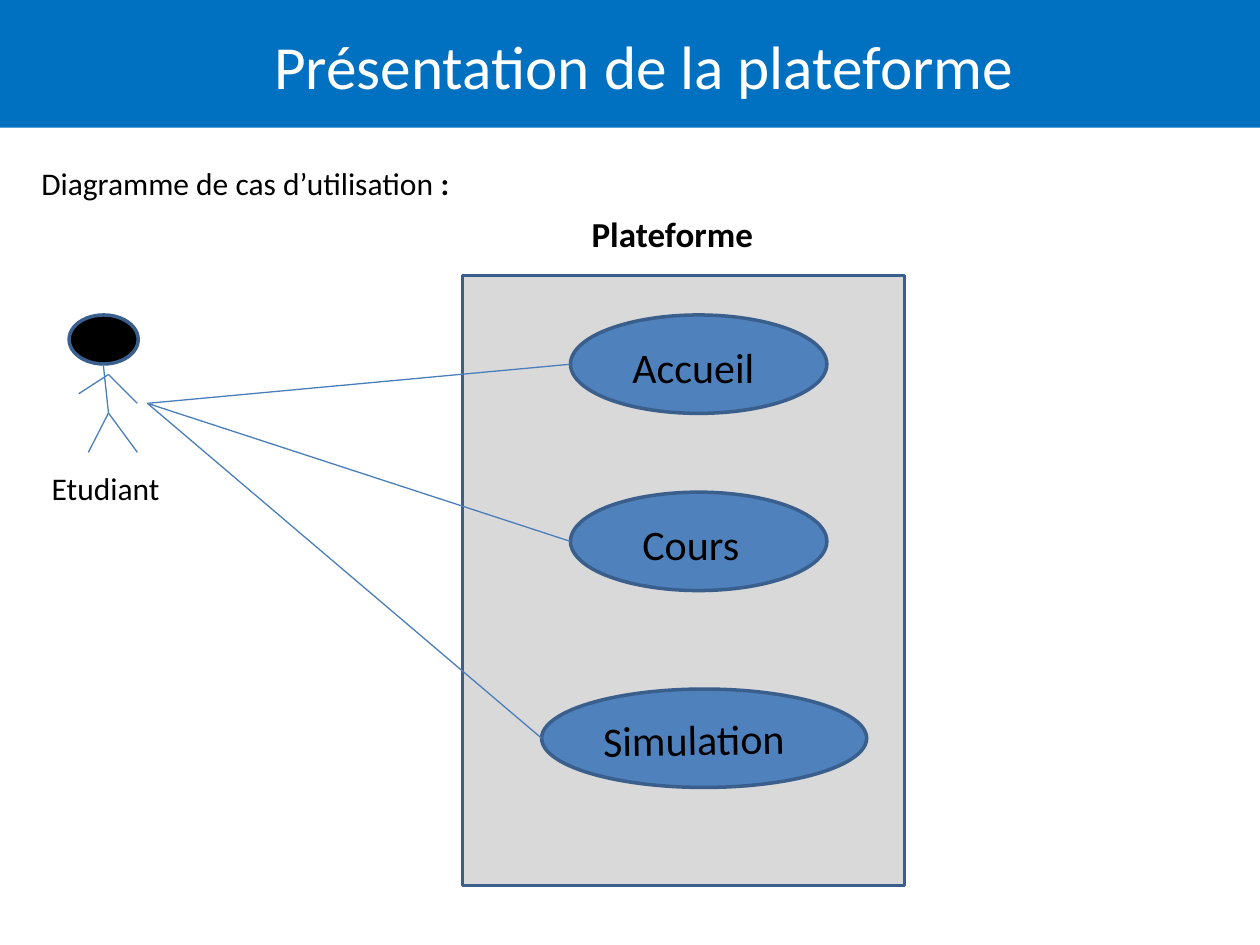
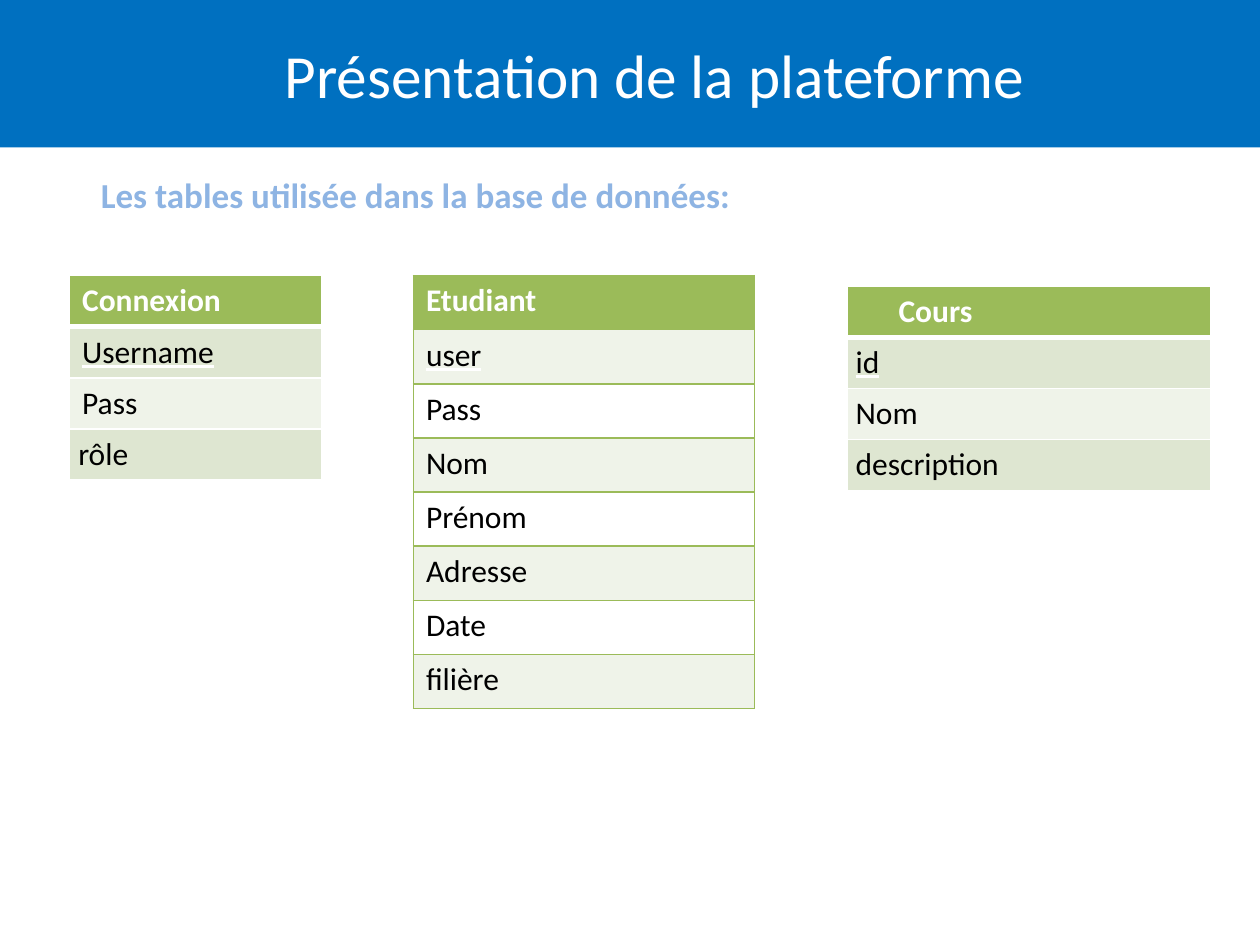
from dataclasses import dataclass
from typing import NamedTuple

from lxml import etree
from pptx import Presentation
from pptx import util as u
from pptx.dml.color import RGBColor
from pptx.enum import shapes, text
from pptx.oxml.ns import qn


@dataclass(frozen=True)
class Theme:
    font: str = "Calibri"
    band: str = "0070C0"
    white: str = "FFFFFF"
    black: str = "000000"
    frame: str = "D9D9D9"
    oval: str = "4F81BD"
    outline: str = "3A5F8C"
    link: str = "4A7EBB"
    subtitle: str = "8EB4E3"
    green: str = "9BBB59"
    pale_green: str = "EFF3E9"
    soft_green: str = "DEE6D1"
    title_size: float = 35
    case_size: float = 24
    heading_size: float = 20
    body_size: float = 18
    outline_width: float = 2
    link_width: float = 0.75
    border_width: float = 0.96
    header_rule: float = 3


class Box(NamedTuple):
    left: float
    top: float
    width: float
    height: float

    def lengths(self) -> list:
        return [u.Pt(value) for value in self]


class Point(NamedTuple):
    x: float
    y: float


class UseCase(NamedTuple):
    name: str
    oval: Box
    label: Box
    rotation: float = 0


class TableSpec(NamedTuple):
    name: str
    fields: list[str]
    left: float
    top: float
    width: float
    row_height: float
    bands: tuple[str, str]
    border: str
    header_rule: float
    insets: list[float]


THEME = Theme()
TITLE = "Présentation de la plateforme"

FRAME = Box(264.25, 157.5, 252.75, 348.5)
HEAD = Box(39.5, 180, 39.5, 28)
NECK, SHOULDER, HIP = Point(59, 208), Point(62, 214), Point(62, 236)
HANDS = [Point(78.5, 230.5), Point(45, 225)]
FEET = [Point(50.5, 258.5), Point(78.5, 258.5)]
LINK_START = Point(84.25, 230.5)

USE_CASES = [
    UseCase("Accueil", Box(326, 180, 146.5, 56.25), Box(354.25, 191.5, 106.5, 36)),
    UseCase("Cours", Box(326, 281.25, 146.5, 56.25), Box(360, 292.5, 84.25, 36)),
    UseCase("Simulation", Box(309.5, 393.75, 185.75, 56.25),
            Box(337.75, 404, 152, 65), 359.1),
]

TABLES = [
    TableSpec("Etudiant",
              ["user", "Pass", "Nom", "Prénom", "Adresse", "Date", "filière"],
              236.25, 157.5, 195, 30.95, (THEME.pale_green, THEME.white),
              THEME.green, THEME.border_width, [7.2] * 8),
    TableSpec("Connexion", ["Username", "Pass", "rôle"],
              39.75, 157.5, 144, 29.25, (THEME.soft_green, THEME.pale_green),
              THEME.white, THEME.header_rule, [7.2, 7.2, 7.2, 5]),
    TableSpec("Cours", ["id", "Nom", "description"],
              484, 163.5, 208, 29.25, (THEME.soft_green, THEME.pale_green),
              THEME.white, THEME.header_rule, [29.5, 5, 5, 5]),
]


def colour(code: str) -> RGBColor:
    return RGBColor.from_string(code)


def style_span(span, size: float, code: str, bold: bool = False) -> None:
    span.font.name = THEME.font
    span.font.size = u.Pt(size)
    span.font.bold = bold
    span.font.color.rgb = colour(code)


def underline_in_white(span) -> None:
    span.font.underline = True
    fill = etree.Element(qn("a:uFill"))
    solid = etree.SubElement(fill, qn("a:solidFill"))
    etree.SubElement(solid, qn("a:srgbClr"), val=THEME.white)
    span.font.fill  # the underline fill goes between text fill and typeface
    properties = span._r.get_or_add_rPr()
    properties.find(qn("a:latin")).addprevious(fill)


def add_label(page, box: Box, words: str, size: float,
              code: str = THEME.black, bold: bool = False):
    label = page.shapes.add_textbox(*box.lengths())
    label.text_frame.word_wrap = True
    label.text_frame.text = words
    style_span(label.text_frame.paragraphs[0].runs[0], size, code, bold)
    return label


def add_figure(page, kind, box: Box, fill: str, outline: str | None = None):
    figure = page.shapes.add_shape(kind, *box.lengths())
    figure.shadow.inherit = False
    figure.fill.solid()
    figure.fill.fore_color.rgb = colour(fill)
    if outline:
        figure.line.color.rgb = colour(outline)
        figure.line.width = u.Pt(THEME.outline_width)
    else:
        figure.line.fill.background()
    return figure


def add_link(page, start: Point, end: Point) -> None:
    link = page.shapes.add_connector(
        shapes.MSO_CONNECTOR.STRAIGHT, *[u.Pt(value) for value in (*start, *end)])
    link.line.color.rgb = colour(THEME.link)
    link.line.width = u.Pt(THEME.link_width)
    etree.SubElement(link._element.spPr, qn("a:effectLst"))


def add_page(deck, band_height: float, title_box: Box):
    """Add a title-only slide with the title over a full-width band."""
    page = deck.slides.add_slide(deck.slide_layouts[5])
    title = page.shapes.title
    title.left, title.top, title.width, title.height = title_box.lengths()
    title.text_frame.text = TITLE
    title.text_frame.vertical_anchor = text.MSO_ANCHOR.MIDDLE
    para = title.text_frame.paragraphs[0]
    para.alignment = text.PP_ALIGN.CENTER
    style_span(para.runs[0], THEME.title_size, THEME.white)
    band = add_figure(page, shapes.MSO_SHAPE.RECTANGLE,
                      Box(0, 0, 720, band_height), THEME.band)
    title._element.addprevious(band._element)
    return page


def add_actor(page) -> None:
    add_figure(page, shapes.MSO_SHAPE.OVAL, HEAD, THEME.black, THEME.outline)
    add_link(page, NECK, HIP)
    for foot in FEET:
        add_link(page, HIP, foot)
    for hand in HANDS:
        add_link(page, SHOULDER, hand)
    add_label(page, Box(22.5, 264.25, 95.75, 29), "Etudiant", THEME.body_size)


def add_use_case(page, case: UseCase) -> None:
    oval = case.oval
    add_figure(page, shapes.MSO_SHAPE.OVAL, oval, THEME.oval, THEME.outline)
    label = add_label(page, case.label, case.name, THEME.case_size)
    label.rotation = case.rotation
    add_link(page, LINK_START, Point(oval.left, oval.top + oval.height / 2))


def set_borders(cell, code: str, top: float, bottom: float) -> None:
    widths = {"L": THEME.border_width, "R": THEME.border_width,
              "T": top, "B": bottom}
    properties = cell._tc.get_or_add_tcPr()
    for side, width in widths.items():
        line = etree.SubElement(properties, qn(f"a:ln{side}"), w=str(u.Pt(width)))
        solid = etree.SubElement(line, qn("a:solidFill"))
        etree.SubElement(solid, qn("a:srgbClr"), val=code)


def add_data_table(page, spec: TableSpec) -> None:
    """Draw a one-column table: header, underlined key, then other fields."""
    rows = [spec.name, *spec.fields]
    box = Box(spec.left, spec.top, spec.width, spec.row_height * len(rows))
    table = page.shapes.add_table(len(rows), 1, *box.lengths()).table
    table.first_row = table.horz_banding = False
    for index, words in enumerate(rows):
        header = index == 0
        table.rows[index].height = u.Pt(spec.row_height)
        cell = table.cell(index, 0)
        cell.margin_left = u.Pt(spec.insets[index])
        set_borders(cell, spec.border,
                    top=spec.header_rule if index == 1 else THEME.border_width,
                    bottom=spec.header_rule if header else THEME.border_width)
        cell.fill.solid()
        cell.fill.fore_color.rgb = colour(
            THEME.green if header else spec.bands[(index - 1) % 2])
        cell.text_frame.text = words
        span = cell.text_frame.paragraphs[0].runs[0]
        style_span(span, THEME.body_size,
                   THEME.white if header else THEME.black, header)
        if index == 1:
            underline_in_white(span)


def build_use_case_page(deck) -> None:
    page = add_page(deck, 73, Box(56, 6, 624, 62))
    heading = add_label(page, Box(16.5, 90, 314.5, 50.5),
                        "Diagramme de cas d’utilisation ", THEME.body_size)
    colon = heading.text_frame.paragraphs[0].add_run()
    colon.text = ":"
    style_span(colon, THEME.body_size, THEME.black, True)
    add_figure(page, shapes.MSO_SHAPE.RECTANGLE, FRAME, THEME.frame, THEME.outline)
    add_actor(page)
    for case in USE_CASES:
        add_use_case(page, case)
    add_label(page, Box(331, 118, 150, 54.75), "Plateforme",
              THEME.heading_size, bold=True)


def build_table_page(deck) -> None:
    page = add_page(deck, 84.25, Box(62, 11.5, 624, 62))
    for spec in TABLES:
        add_data_table(page, spec)
    add_label(page, Box(50.5, 95.75, 533, 76.25),
              "Les tables utilisée dans la base de données:",
              THEME.heading_size, THEME.subtitle, True)


def main() -> None:
    deck = Presentation()
    deck.slide_width, deck.slide_height = u.Pt(720), u.Pt(540)
    build_use_case_page(deck)
    build_table_page(deck)
    deck.save("out.pptx")


if __name__ == "__main__":
    main()
